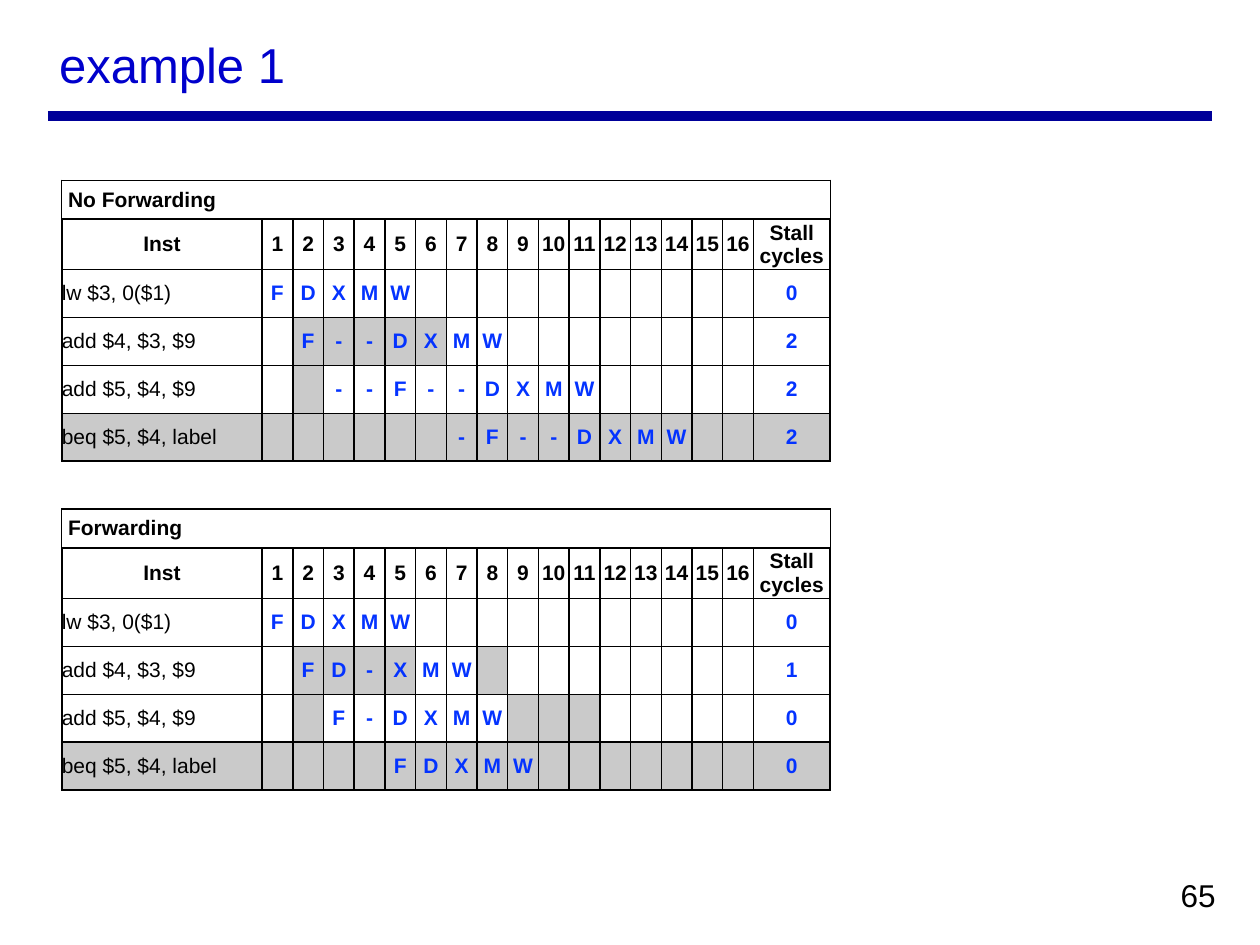
from lxml import etree
from pptx import Presentation
from pptx.dml.color import RGBColor
from pptx.enum.shapes import MSO_CONNECTOR
from pptx.enum.text import MSO_ANCHOR, PP_ALIGN
from pptx.oxml.ns import qn
from pptx.util import Inches, Pt

LEFT, CENTER = PP_ALIGN.LEFT, PP_ALIGN.CENTER
TOP, MIDDLE = MSO_ANCHOR.TOP, MSO_ANCHOR.MIDDLE
STRAIGHT = MSO_CONNECTOR.STRAIGHT

BLACK = RGBColor(0x00, 0x00, 0x00)
WHITE = RGBColor(0xFF, 0xFF, 0xFF)
GREY = RGBColor(0xCA, 0xCA, 0xCA)
NAVY = RGBColor(0x00, 0x00, 0x99)
TITLE_BLUE = RGBColor(0x00, 0x00, 0xCC)
STAGE_BLUE = RGBColor(0x04, 0x33, 0xFF)

CYCLES = 16
TABLE_WIDTH, INST_WIDTH, STALL_WIDTH = 6.1, 1.59, 0.61
CYCLE_WIDTH = (TABLE_WIDTH - INST_WIDTH - STALL_WIDTH) / CYCLES
COL_WIDTHS = [INST_WIDTH] + [CYCLE_WIDTH] * CYCLES + [STALL_WIDTH]
ROW_HEIGHTS = [0.31, 0.4] + [0.38] * 4
WHOLE_ROW = range(CYCLES + 2)

# Instruction, first cycle, one stage per cycle, stall cycles, shaded columns
NO_FORWARDING = [
    ("lw $3, 0($1)", 1, "FDXMW", 0, ()),
    ("add $4, $3, $9", 2, "F--DXMW", 2, range(2, 7)),
    ("add $5, $4, $9", 3, "--F--DXMW", 2, (2,)),
    ("beq $5, $4, label", 7, "-F--DXMW", 2, WHOLE_ROW),
]
FORWARDING = [
    ("lw $3, 0($1)", 1, "FDXMW", 0, ()),
    ("add $4, $3, $9", 2, "FD-XMW", 1, (2, 3, 4, 5, 8)),
    ("add $5, $4, $9", 3, "F-DXMW", 0, (2, 9, 10, 11)),
    ("beq $5, $4, label", 5, "FDXMW", 0, WHOLE_ROW),
]


class SlideBuilder:
    font = "Arial"

    def __init__(self, slide):
        self.slide = slide

    def style(self, p, size, color, bold=False, align=LEFT):
        p.font.name = self.font
        p.font.size = Pt(size)
        p.font.bold = bold
        p.font.color.rgb = color
        p.alignment = align

    def text(self, x, y, w, h, text, size, color, anchor=TOP, wrap=True):
        sp = self.slide.shapes.add_textbox(Inches(x), Inches(y), Inches(w), Inches(h))
        tf = sp.text_frame
        tf.word_wrap = wrap
        tf.vertical_anchor = anchor
        tf.margin_left = tf.margin_right = Inches(0.05)
        tf.margin_top = tf.margin_bottom = Inches(0.05)
        p = tf.paragraphs[0]
        p.text = text
        self.style(p, size, color)

    def rule(self, x1, x2, y, color, width):
        line = self.slide.shapes.add_connector(
            STRAIGHT, Inches(x1), Inches(y), Inches(x2), Inches(y))
        line.line.color.rgb = color
        line.line.width = Pt(width)
        etree.SubElement(line._element.spPr, qn("a:effectLst"))

    def borders(self, cell, outer=1):
        tc_pr = cell._tc.get_or_add_tcPr()
        for side, width in (("L", outer), ("R", outer), ("T", outer), ("B", 1)):
            ln = etree.SubElement(tc_pr, qn("a:ln" + side), w=str(Pt(width)))
            fill = etree.SubElement(ln, qn("a:solidFill"))
            etree.SubElement(fill, qn("a:srgbClr"), val=str(BLACK))

    def cell(self, cell, text="", color=BLACK, bold=True, align=CENTER,
             fill=WHITE, margin=0, outer=1):
        cell.margin_left = cell.margin_right = Inches(margin)
        cell.margin_top = cell.margin_bottom = Inches(margin)
        cell.vertical_anchor = MIDDLE
        self.borders(cell, outer)
        cell.fill.solid()
        cell.fill.fore_color.rgb = fill
        p = cell.text_frame.paragraphs[0]
        p.text = text
        self.style(p, 12, color, bold, align)

    def pipeline(self, x, y, title, instructions):
        table = self.slide.shapes.add_table(
            len(ROW_HEIGHTS), len(COL_WIDTHS), Inches(x), Inches(y),
            Inches(TABLE_WIDTH), Inches(sum(ROW_HEIGHTS))).table
        table.first_row = table.horz_banding = False
        for col, width in zip(table.columns, COL_WIDTHS):
            col.width = Inches(width)
        for row, height in zip(table.rows, ROW_HEIGHTS):
            row.height = Inches(height)

        # Title row across all columns
        last = len(COL_WIDTHS) - 1
        for c in range(1, last + 1):
            self.cell(table.cell(0, c), outer=0.75)
        self.cell(table.cell(0, 0), title, align=LEFT, margin=0.05, outer=0.75)
        table.cell(0, 0).merge(table.cell(0, last))

        # Column headings
        headings = ["Inst", *map(str, range(1, CYCLES + 1)), "Stall cycles"]
        for c, heading in enumerate(headings):
            self.cell(table.cell(1, c), heading)

        # One row per instruction
        for r, (inst, start, stages, stalls, shaded) in enumerate(instructions, 2):
            cycles = [""] * (start - 1) + list(stages)
            cycles += [""] * (CYCLES - len(cycles))
            for c, text in enumerate([inst, *cycles, str(stalls)]):
                self.cell(table.cell(r, c), text,
                          color=STAGE_BLUE if c else BLACK, bold=c > 0,
                          align=CENTER if c else LEFT,
                          fill=GREY if c in shaded else WHITE)


def main():
    prs = Presentation()
    prs.slide_width, prs.slide_height = Inches(10), Inches(7.5)
    s = SlideBuilder(prs.slides.add_slide(prs.slide_layouts[6]))

    # Title, rule and page number
    s.rule(0.38, 9.62, 0.92, NAVY, 6)
    s.text(9.32, 6.9, 0.39, 0.4, "65", 18, BLACK, wrap=False)
    s.text(0.42, 0.17, 8.33, 0.67, "example 1", 28, TITLE_BLUE, anchor=MIDDLE)

    # Pipeline tables
    s.pipeline(0.49, 1.43, "No Forwarding", NO_FORWARDING)
    s.pipeline(0.49, 4.04, "Forwarding", FORWARDING)

    prs.save("out.pptx")


if __name__ == "__main__":
    main()
